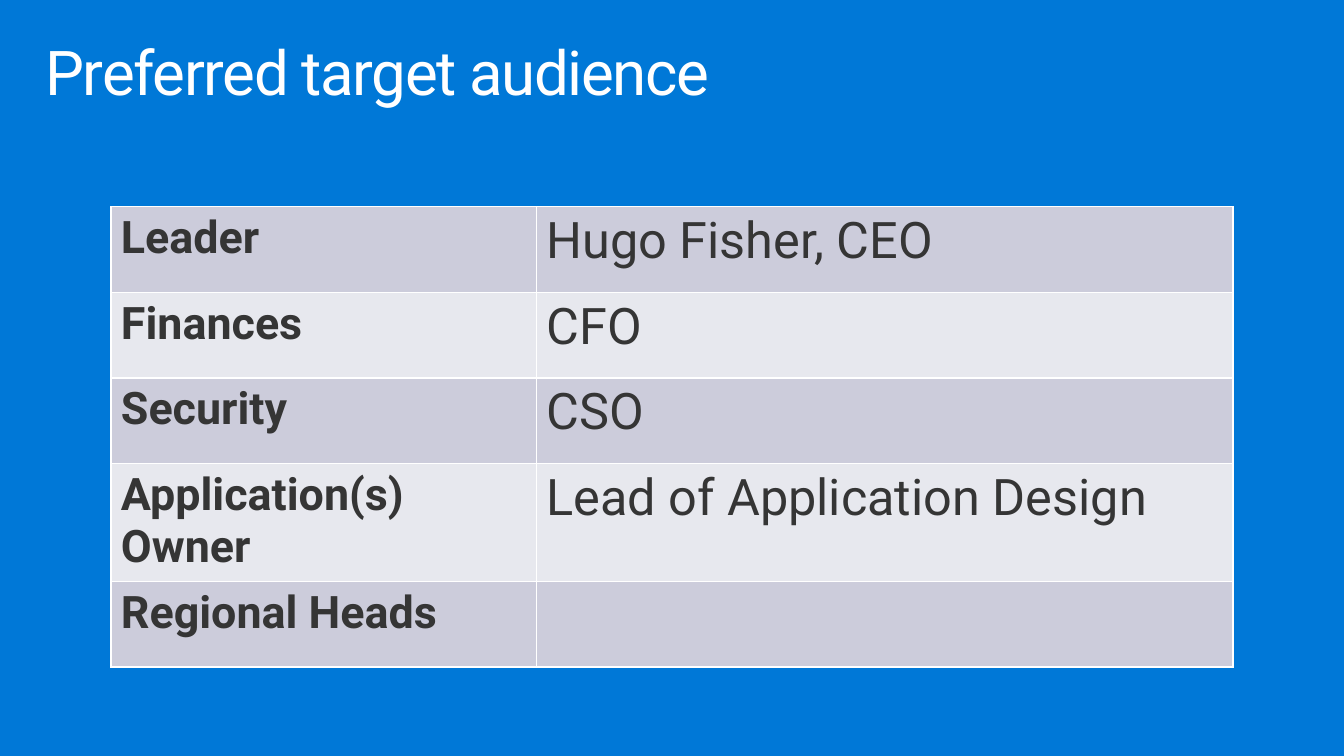
import pptx
import pptx.dml.color
import pptx.oxml
import pptx.oxml.ns
import pptx.util
from pptx.util import Inches

FONT = "Roboto"
BACKGROUND = "0078D7"
WHITE = "FFFFFF"
DARK = "353535"
BANDS = ("CCCCDB", "E7E8EE")
AUDIENCE = (
    ("Leader", "Hugo Fisher, CEO"),
    ("Finances", "CFO"),
    ("Security", "CSO"),
    ("Application(s) Owner", "Lead of Application Design"),
    ("Regional Heads", ""),
)


def color(hex_string):
    """Turn a hex string into a colour."""
    return pptx.dml.color.RGBColor.from_string(hex_string)


def add_run(paragraph, text, size, hex_string, bold=False):
    """Append a styled run to a paragraph."""
    run = paragraph.add_run()
    run.text = text
    run.font.name = FONT
    run.font.size = pptx.util.Pt(size)
    run.font.bold = bold
    run.font.color.rgb = color(hex_string)
    return run


def add_borders(cell, hex_string, points):
    """Draw a solid line on all four sides of a cell."""
    properties = cell._tc.get_or_add_tcPr()
    namespace = pptx.oxml.ns.nsdecls("a")
    for position, side in enumerate(("lnL", "lnR", "lnT", "lnB")):
        line = pptx.oxml.parse_xml(
            f'<a:{side} {namespace} w="{pptx.util.Pt(points)}"><a:solidFill>'
            f'<a:srgbClr val="{hex_string}"/></a:solidFill></a:{side}>'
        )
        properties.insert(position, line)


def add_title(slide, left, top, width, height):
    """Place the heading in the given box."""
    frame = slide.shapes.add_textbox(left, top, width, height).text_frame
    frame.word_wrap = True
    frame.margin_left = frame.margin_right = Inches(0.16)
    frame.margin_top = frame.margin_bottom = Inches(0.1)
    paragraph = frame.paragraphs[0]
    paragraph.line_spacing = 0.9
    run = add_run(paragraph, "Preferred target audience", 44.1, WHITE)
    run.font._element.set("spc", "-100")


def add_audience_table(slide, left, top, width, height):
    """Place the banded table of roles and people in the given box."""
    table = slide.shapes.add_table(len(AUDIENCE), 2, left, top, width, height).table
    table.first_row = False
    table.horz_banding = False
    role_width = Inches(4.22)
    table.columns[0].width = role_width
    table.columns[1].width = width - role_width
    for row_index, texts in enumerate(AUDIENCE):
        for column_index, text in enumerate(texts):
            cell = table.cell(row_index, column_index)
            cell.fill.solid()
            cell.fill.fore_color.rgb = color(BANDS[row_index % 2])
            add_borders(cell, WHITE, 1)
            if text:
                is_role = column_index == 0
                paragraph = cell.text_frame.paragraphs[0]
                add_run(paragraph, text, 32 if is_role else 36, DARK, is_role)


def main():
    """Build the slide and save it."""
    presentation = pptx.Presentation()
    presentation.slide_width = Inches(13.33)
    presentation.slide_height = Inches(7.5)
    slide = presentation.slides.add_slide(presentation.slide_layouts[6])
    slide.background.fill.solid()
    slide.background.fill.fore_color.rgb = color(BACKGROUND)
    add_title(slide, Inches(0.29), Inches(0.32), Inches(12.75), Inches(0.98))
    add_audience_table(slide, Inches(1.1), Inches(2.05), Inches(11.13), Inches(4.25))
    presentation.save("out.pptx")


if __name__ == "__main__":
    main()
